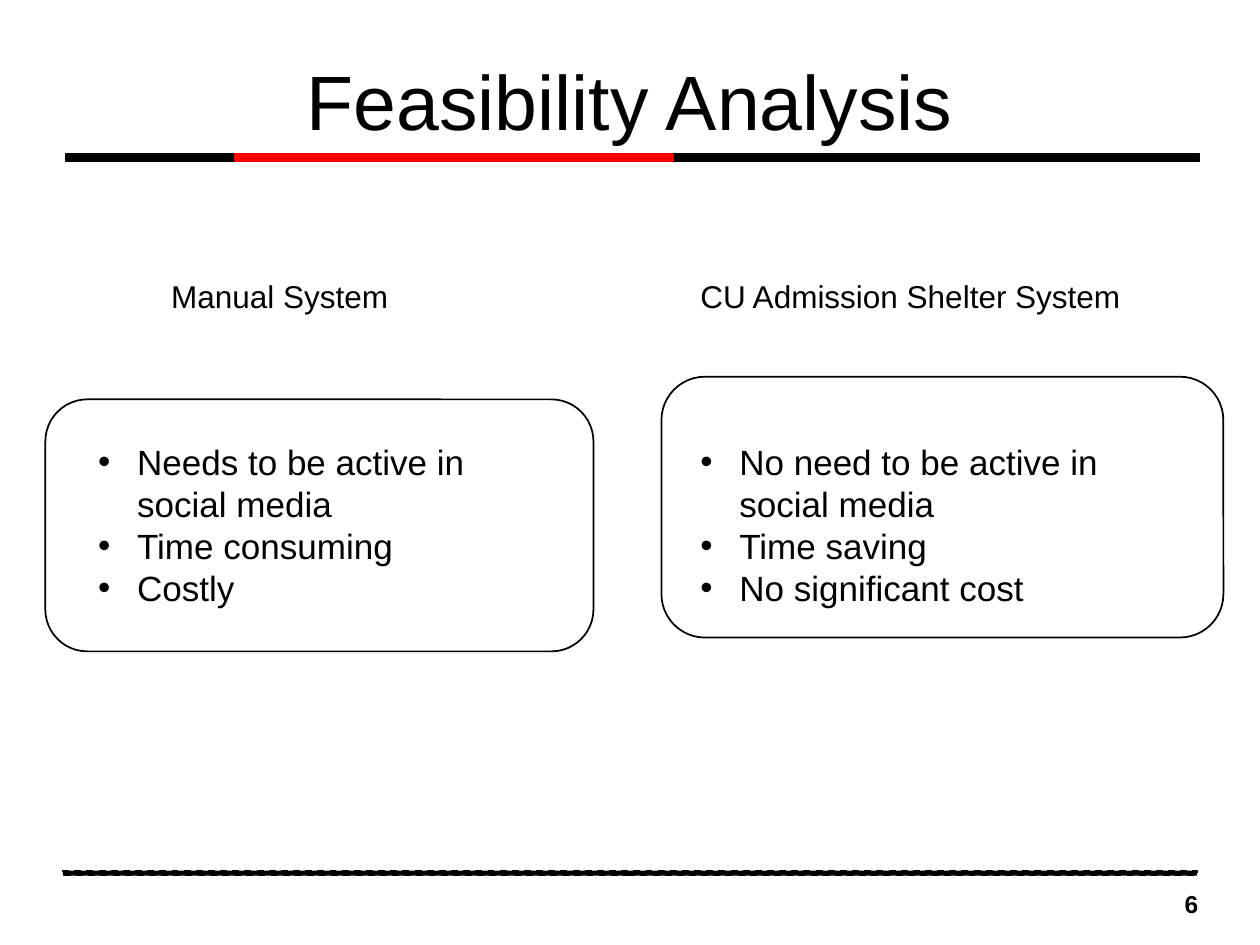
from pptx import Presentation
from pptx.dml.color import RGBColor
from pptx.enum.dml import MSO_LINE
from pptx.enum.shapes import MSO_SHAPE as Kind
from pptx.enum.text import MSO_ANCHOR as Anchor, PP_ALIGN as Align
from pptx.util import Inches, Pt
from lxml.etree import SubElement
from pptx.oxml.ns import qn

BLACK = RGBColor(0, 0, 0)
RED = RGBColor(255, 0, 0)
WHITE = RGBColor(255, 255, 255)
FONT = "Arial"
COLS, ROWS = 100, 75
WIDE, HIGH = Inches(10), Inches(7.5)


def grid(x, y, w, h):
    return (int(x * WIDE / COLS), int(y * HIGH / ROWS),
            int(w * WIDE / COLS), int(h * HIGH / ROWS))


def style(para, size, align=Align.LEFT, bold=False):
    para.alignment = align
    for run in para.runs:
        font = run.font
        font.name, font.size, font.bold = FONT, Pt(size), bold
        font.color.rgb = BLACK


def draw(slide, kind, box, fill=None, line=None):
    shape = slide.shapes.add_shape(kind, *grid(*box))
    shape.shadow.inherit = False
    if fill is None:
        shape.fill.background()
    else:
        shape.fill.solid()
        shape.fill.fore_color.rgb = fill
    if line is None:
        shape.line.fill.background()
    else:
        shape.line.color.rgb = line
        shape.line.width = Pt(1)
    return shape


def write(slide, box, lines, size, wrap=True):
    frame = slide.shapes.add_textbox(*grid(*box)).text_frame
    frame.word_wrap = wrap
    frame.text = "\n".join(lines)
    for para in frame.paragraphs:
        style(para, size)
    return frame


def indent(para, mark):
    props = para._p.get_or_add_pPr()
    props.set("marL", str(Inches(0.31)))
    props.set("indent", str(-Inches(0.31) if mark else 0))
    if mark:
        SubElement(props, qn("a:buFont")).set("typeface", FONT)
        SubElement(props, qn("a:buChar")).set("char", "•")
    else:
        SubElement(props, qn("a:buNone"))


def header(slide, box, text):
    x, y, w, h = box
    title = slide.shapes.title
    title.left, title.top, title.width, title.height = grid(*box)
    frame = title.text_frame
    frame.text = text
    frame.vertical_anchor = Anchor.MIDDLE
    style(frame.paragraphs[0], 44, Align.CENTER)
    rule = y + 0.84 * h
    draw(slide, Kind.RECTANGLE, (x + 0.2, rule, w, 0.6), BLACK, BLACK)
    draw(slide, Kind.RECTANGLE, (x + 0.152 * w, rule, 0.386 * w, 0.6), RED, RED)


def footer(slide, box, number):
    x, y, w, h = box
    rule = draw(slide, Kind.RECTANGLE, (x, y, w, 0.4), BLACK, BLACK)
    rule.line.dash_style = MSO_LINE.DASH
    badge = draw(slide, Kind.OVAL, (x + w - 4.8, y + 0.6, 6.9, h - 0.6))
    frame = badge.text_frame
    frame.text = number
    frame.vertical_anchor = Anchor.MIDDLE
    style(frame.paragraphs[0], 14, Align.RIGHT, True)


def panel(slide, box, head, inset, points, pad, drop):
    x, y, w, h = box
    draw(slide, Kind.ROUNDED_RECTANGLE, (x, y + drop, w, h - drop), WHITE, BLACK)
    write(slide, (x + inset, y, w - 2 * inset, 4), [head], 18, False)
    lines = [line for point in points for line in point]
    frame = write(slide, (x + pad, y + 13, w - 2 * pad, 14.5), lines, 20)
    marks = [not i for point in points for i in range(len(point))]
    for para, mark in zip(frame.paragraphs, marks):
        indent(para, mark)


def main():
    deck = Presentation()
    deck.slide_width, deck.slide_height = WIDE, HIGH
    slide = deck.slides.add_slide(deck.slide_layouts[5])
    header(slide, (5, 1.7, 90, 12.5), "Feasibility Analysis")
    footer(slide, (5, 69.1, 90, 4.6), "6")
    panel(slide, (3.6, 21.5, 43.5, 30.2), "Manual System", 9,
          [("Needs to be active in", "social media"),
           ("Time consuming",), ("Costly",)], 3.2, 10.2)
    panel(slide, (52.5, 21.5, 44.6, 29.1), "CU Admission Shelter System", 2.1,
          [("No need to be active in", "social media"),
           ("Time saving",), ("No significant cost",)], 2.1, 8.4)
    deck.save("out.pptx")


if __name__ == "__main__":
    main()
